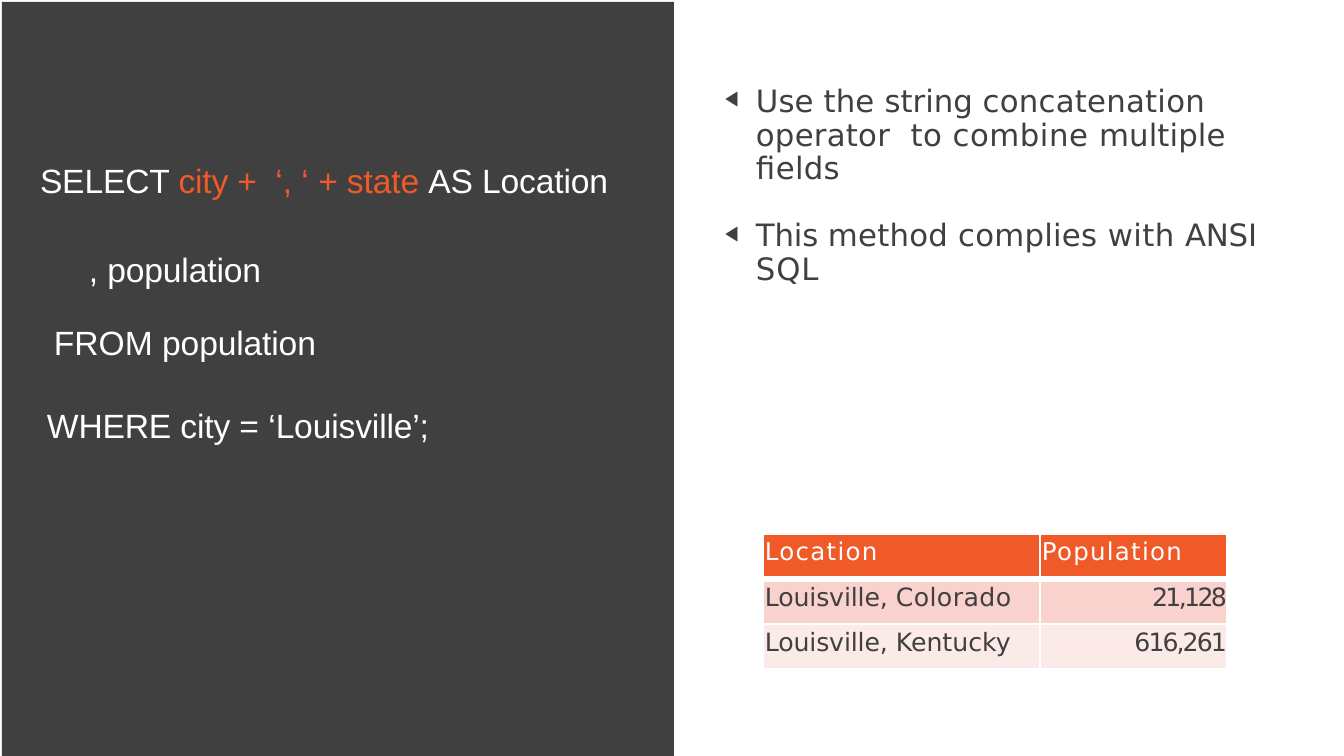
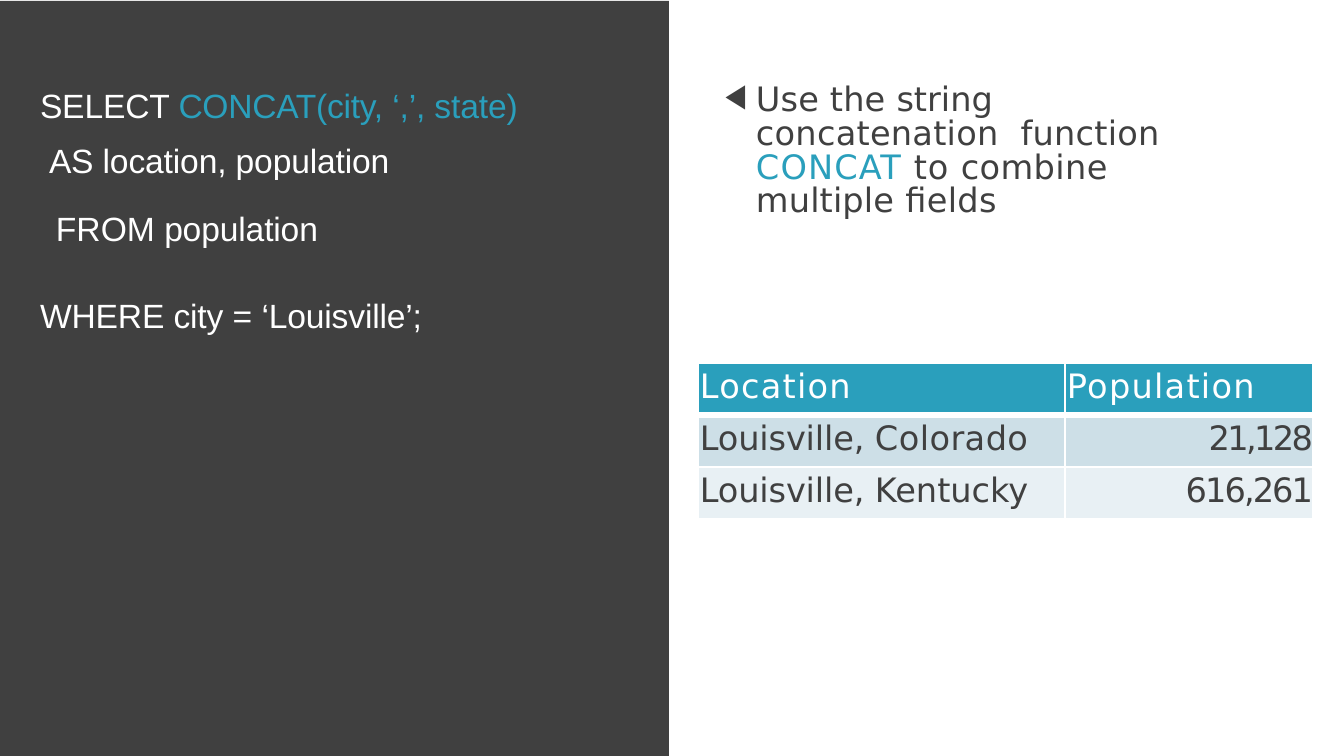
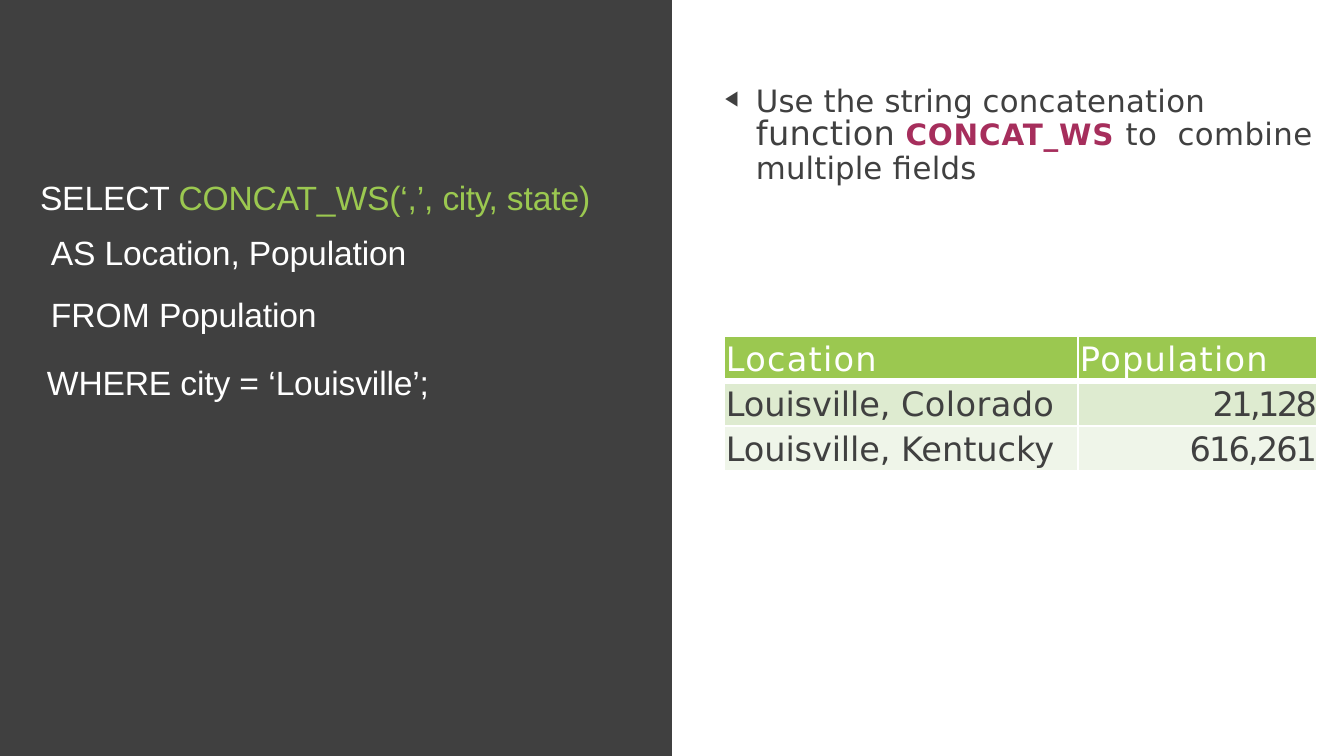
from lxml.etree import SubElement
from pptx import Presentation
from pptx.dml.color import RGBColor
from pptx.enum.shapes import MSO_SHAPE
from pptx.enum.text import MSO_ANCHOR, MSO_AUTO_SIZE, PP_ALIGN
from pptx.oxml import parse_xml
from pptx.oxml.ns import nsdecls, qn
from pptx.util import Emu, Pt

DARK, WHITE = "404040", "FFFFFF"
ORANGE, TEAL, GREEN, PLUM = "F05A28", "2A9FBC", "9BC850", "A62E5C"
CODE_FONT, BODY_FONT, BULLET_FONT = "Arial", "DejaVu Sans", "Courier New"
THIN, THICK = 1.5, 4.25

WHERE = [("WHERE city ", {}), ("= ", {"spacing": 0}), ("‘Louisville’;", {})]
USE_STRING = [("Use the ", {"spacing": 0.1}), ("string ", {"spacing": 0})]
MULTIPLE_FIELDS = [("multiple ", {"spacing": 0.1}), ("fields", {"spacing": 0.2})]
TABLE_ROWS = [
    ([("Location", 0.9)], [("Population", 0.9)]),
    ([("Louisville, ", -0.1), ("Colorado", 0.3)], [("21,128", -1.9)]),
    ([("Louisville, ", -0.1), ("Kentucky", 0)], [("616,261", -1.4)]),
]
ROW_SPACE = (2.8, 2.6, 2.5)


def code_line(spans, indent=1, **layout):
    return {"spans": spans, "indent": indent, "before": 1, **layout}


def from_line(name):
    return [("FROM ", {"spacing": 0}), (name, {})]


SLIDES = [
    {
        "panel": (2, 2, 672, 754),
        "title": (39, 159, 608, 42),
        "query": [
            ("SELECT ", {}),
            ("city +  ", {"color": ORANGE}),
            ("‘, ‘ ", {"color": ORANGE, "spacing": 0}),
            ("+ state ", {"color": ORANGE}),
            ("AS Location", {}),
        ],
        "code": [((46, 215, 531, 230), [
            code_line([(", population", {})], 43, before=0.7, leading=1.81),
            code_line(from_line("population"), 8, before=0, leading=1.81),
            code_line(WHERE, before=31),
        ])],
        "bullet_box": (724, 80, 543, 208),
        "bullet_size": 22,
        "bullet_percent": 68,
        "bullets": [
            USE_STRING + [
                ("concatenation ", {"spacing": 0.2}),
                ("operator  ", {"spacing": 0.2}),
                ("to combine ", {"spacing": 0.4}),
            ] + MULTIPLE_FIELDS,
            [
                ("This ", {}),
                ("method complies ", {"spacing": 0.2}),
                ("with ", {"spacing": 0.3}),
                ("ANSI  ", {}),
                ("SQL", {"spacing": 0.6}),
            ],
        ],
        "table": (763, 534, (277, 187), 45),
        "text_sizes": (17.5, 18),
        "fills": (ORANGE, "F9D1CD", "FCEAE8"),
    },
    {
        "panel": (0, 1, 669, 755),
        "title": (39, 84, 557, 42),
        "query": [
            ("SELECT ", {}),
            ("CONCAT(city, ", {"color": TEAL, "spacing": -0.2}),
            ("‘,’, state)", {"color": TEAL}),
        ],
        "code": [
            ((48, 139, 421, 42), [code_line([("AS location, population", {})])]),
            ((55, 207, 443, 42), [code_line(from_line("population"))]),
            ((39, 294, 550, 42), [code_line(WHERE)]),
        ],
        "bullet_box": (724, 80, 493, 141),
        "bullet_size": 24,
        "bullet_percent": 100,
        "bullets": [
            USE_STRING + [
                ("concatenation  function ", {"spacing": 0.2}),
                ("CONCAT ", {"color": TEAL, "spacing": 0.8}),
                ("to ", {"spacing": 0.6}),
                ("combine ", {"spacing": 0.3}),
            ] + MULTIPLE_FIELDS,
        ],
        "table": (698, 363, (367, 248), 52),
        "text_sizes": (24, 24),
        "fills": (TEAL, "CDDFE7", "E8F0F4"),
    },
    {
        "panel": (0, 0, 672, 756),
        "title": (39, 176, 575, 42),
        "query": [
            ("SELECT ", {}),
            ("CONCAT_WS(‘,’, ", {"color": GREEN}),
            ("city, ", {"color": GREEN, "spacing": -0.3}),
            ("state)", {"color": GREEN}),
        ],
        "code": [
            ((50, 231, 447, 42), [code_line([("AS Location, Population", {})])]),
            ((50, 293, 471, 42), [code_line(from_line("Population"))]),
            ((46, 361, 467, 42), [code_line(WHERE)]),
        ],
        "bullet_box": (724, 80, 593, 107),
        "bullet_size": 22,
        "bullet_percent": 68,
        "bullets": [
            USE_STRING + [
                ("concatenation ", {"spacing": 0.2}),
                ("function", {"spacing": 0.2, "size": 24}),
                (" ", {"spacing": 0.2}),
                ("CONCAT_WS ", {"color": PLUM, "spacing": 0.6, "size": 21, "bold": True}),
                ("to  combine ", {"spacing": 0.3}),
            ] + MULTIPLE_FIELDS,
        ],
        "table": (724, 336, (354, 239), 45),
        "text_sizes": (24, 24),
        "fills": (GREEN, "DEEBD0", "EFF5E9"),
    },
]


def px(length):
    return Emu(round(length * 914400 / 100.8))


def rgb(value):
    return RGBColor.from_string(value)


def place(shape, area):
    shape.left, shape.top, shape.width, shape.height = map(px, area)


def add_span(para, text, font, size, color, spacing=-0.1, bold=False):
    span = para.add_run()
    span.text = text
    span.font.name, span.font.size, span.font.bold = font, Pt(size), bold
    span.font.color.rgb = rgb(color)
    span.font._element.set("spc", str(round(spacing * 100)))


def set_indent(para, margin, first):
    properties = para._p.get_or_add_pPr()
    properties.set("marL", str(px(margin)))
    properties.set("indent", str(px(first)))


def prepare_frame(shape, top_inset):
    frame = shape.text_frame
    frame.margin_left = frame.margin_right = frame.margin_bottom = 0
    frame.margin_top = px(top_inset)
    frame.word_wrap = True
    frame.vertical_anchor = MSO_ANCHOR.TOP
    frame.auto_size = MSO_AUTO_SIZE.SHAPE_TO_FIT_TEXT
    return frame


def paragraphs(frame, items):
    for index, item in enumerate(items):
        yield (frame.add_paragraph() if index else frame.paragraphs[0]), item


def write_code(shape, area, lines):
    place(shape, area)
    for para, line in paragraphs(prepare_frame(shape, 1), lines):
        para.alignment = PP_ALIGN.LEFT
        para.line_spacing = line.get("leading", 1.0)
        para.space_before = Pt(line["before"])
        set_indent(para, line["indent"], 0)
        for text, style in line["spans"]:
            add_span(para, text, **{"font": CODE_FONT, "size": 24, "color": WHITE, **style})


def add_panel(page, area):
    panel = page.shapes.add_shape(MSO_SHAPE.RECTANGLE, *map(px, area))
    panel.shadow.inherit = False
    panel.fill.solid()
    panel.fill.fore_color.rgb = rgb(DARK)
    panel.line.fill.background()
    page.shapes.title.element.addprevious(panel.element)


def add_bullets(page, content):
    box = page.shapes.add_textbox(*map(px, content["bullet_box"]))
    frame = prepare_frame(box, 5)
    for index, (para, spans) in enumerate(paragraphs(frame, content["bullets"])):
        para.line_spacing = Pt(24)
        para.space_before = Pt(24 if index else 3.8)
        set_indent(para, 32, -31)
        properties = para._p.get_or_add_pPr()
        color = SubElement(properties, qn("a:buClr"))
        SubElement(color, qn("a:srgbClr"), val=DARK)
        SubElement(properties, qn("a:buSzPct"), val=str(content["bullet_percent"] * 1000))
        SubElement(properties, qn("a:buFont"), typeface=BULLET_FONT)
        SubElement(properties, qn("a:buChar"), char="◀")
        for text, style in spans:
            defaults = {"font": BODY_FONT, "size": content["bullet_size"], "color": DARK}
            add_span(para, text, **{**defaults, **style})


def set_borders(cell, top, bottom):
    sides = (("lnL", THIN), ("lnR", THIN), ("lnT", top), ("lnB", bottom))
    for index, (side, width) in enumerate(sides):
        border = parse_xml(
            f'<a:{side} {nsdecls("a")} w="{Pt(width)}"><a:solidFill>'
            f'<a:srgbClr val="{WHITE}"/></a:solidFill></a:{side}>'
        )
        cell._tc.get_or_add_tcPr().insert(index, border)


def add_cities(page, content):
    left, top, widths, row_height = content["table"]
    count = len(TABLE_ROWS)
    area = (left, top, sum(widths), row_height * count)
    table = page.shapes.add_table(count, len(widths), *map(px, area)).table
    table.first_row = table.horz_banding = False
    for column, width in zip(table.columns, widths):
        column.width = px(width)
    for row_index, row in enumerate(TABLE_ROWS):
        table.rows[row_index].height = px(row_height)
        heading = row_index == 0
        for column_index, spans in enumerate(row):
            cell = table.cell(row_index, column_index)
            cell.margin_left = cell.margin_right = cell.margin_bottom = 0
            cell.margin_top = px(4)
            cell.fill.solid()
            cell.fill.fore_color.rgb = rgb(content["fills"][row_index])
            set_borders(cell, THICK if row_index == 1 else THIN, THICK if heading else THIN)
            para = cell.text_frame.paragraphs[0]
            para.space_before = Pt(ROW_SPACE[row_index])
            if column_index and not heading:
                para.alignment = PP_ALIGN.RIGHT
            else:
                set_indent(para, 2, 0)
            size = content["text_sizes"][0 if heading else 1]
            for text, spacing in spans:
                add_span(para, text, BODY_FONT, size, WHITE if heading else DARK, spacing)


deck = Presentation()
deck.slide_width, deck.slide_height = px(1344), px(756)
title_only = deck.slide_layouts[5]
for content in SLIDES:
    page = deck.slides.add_slide(title_only)
    add_panel(page, content["panel"])
    write_code(page.shapes.title, content["title"], [code_line(content["query"])])
    for area, lines in content["code"]:
        write_code(page.shapes.add_textbox(*map(px, area)), area, lines)
    add_cities(page, content)
    add_bullets(page, content)
deck.save("out.pptx")
